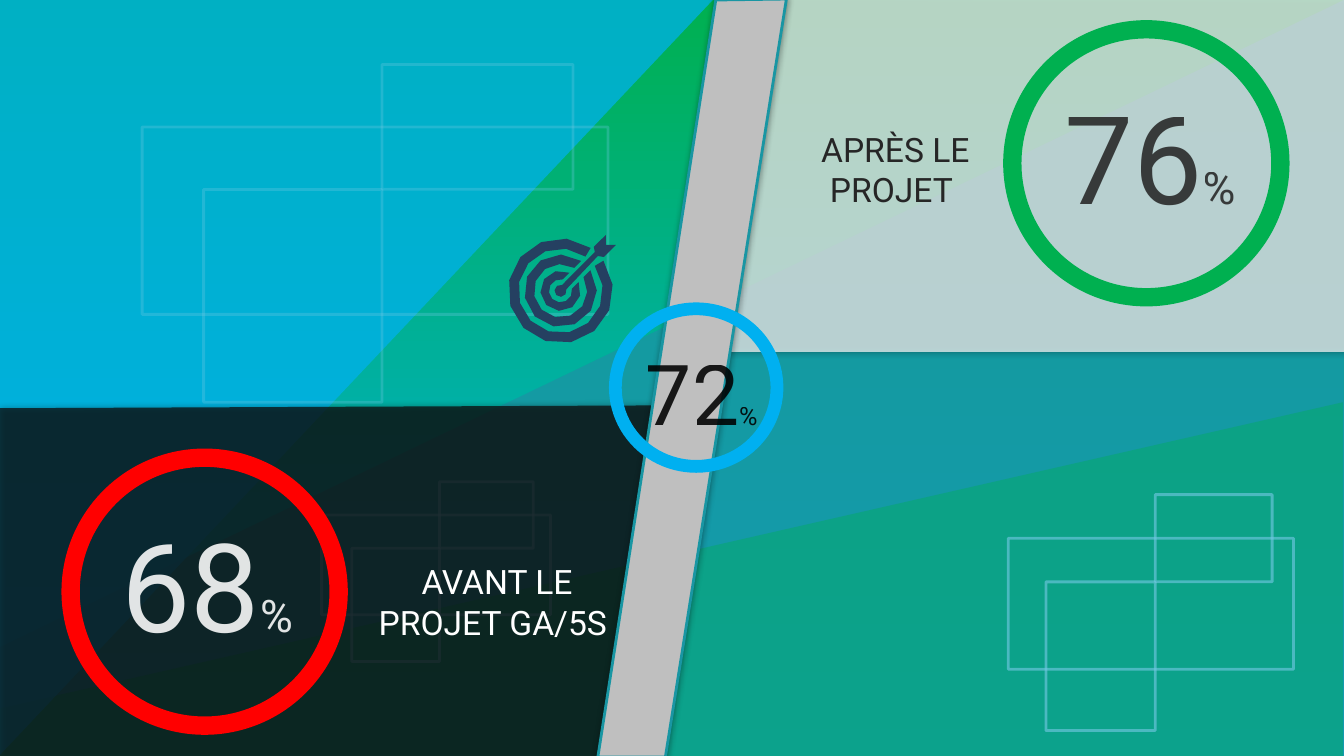
"""Build the before-and-after slide of the GA/5S project."""
import math
from dataclasses import dataclass
from typing import Optional

import pptx
import pptx.dml.color
import pptx.enum.dml
import pptx.enum.shapes
import pptx.enum.text
import pptx.oxml
import pptx.oxml.ns
import pptx.util

WIDE, HIGH = pptx.util.Inches(13.33), pptx.util.Inches(7.5)
COL, ROW = WIDE / 133.3, HIGH / 75
FONT = "Roboto"
KIND = pptx.enum.shapes.MSO_SHAPE
Box = tuple[float, float, float, float]
Spot = tuple[float, float]


@dataclass
class Panel:
    spots: list[Spot]
    hue: str
    share: float
    shade: bool


@dataclass
class Frame:
    left: float
    top: float
    width: float
    height: float
    share: float


@dataclass
class Label:
    box: Box
    words: str
    ink: str


@dataclass
class Gauge:
    ring: Box
    band: float
    hue: str
    box: Box
    count: str
    size: int
    unit: int
    ink: str
    label: Optional[Label] = None


@dataclass
class Ring:
    rim: float
    hub: float
    cut: float
    steps: int


BACK = [
    Panel([(0, 64.2), (133.3, 0), (133.3, 75), (0, 75)], "1996A3", 82, False),
    Panel([(-0.1, 70.3), (133.2, 39.9), (133.2, 75.4), (-0.1, 75.4)], "00B050", 37, False),
]
FRONT = [
    Panel([(73.1, -0.3), (133.9, -0.1), (133.9, 34.9), (69.8, 34.9)], "F2F2F2", 75, True),
    Panel([(0, 40.5), (69.4, 40.2), (65.5, 75.3), (0, 75.3)], "0D0D0D", 75, True),
]
BAR = [(71, 0), (78, -0.1), (66, 75.1), (59.3, 75.1)]
FRAMES = [
    Frame(100, 53.4, 28.3, 13, 62),
    Frame(31.9, 51.1, 22.7, 9.9, 62),
    Frame(14.1, 12.6, 46.2, 18.6, 29),
]
TILES = [(0, 0, 100, 100), (51.5, -33.3, 41, 66.5), (13.2, 33.3, 38.3, 113.5)]
RINGS = [Ring(2, 1.15, 0.65, 8), Ring(3.6, 2.65, 0.65, 10), Ring(5.2, 4.2, 0.9, 12)]
HEART = (55.6, 28.85)
DART = [(59.3, 25.4), (59.9, 25.5), (61.1, 24.3), (60.1, 24.3),
        (60.1, 23.3), (58.9, 24.5), (59, 25)]
GAUGES = [
    Gauge((6.1, 44.5, 28.4, 28.4), 0.064, "FF0000", (9.3, 50, 22.5, 15.8),
          "68", 88, 32, "FFFFFF",
          Label((36, 55.2, 26.6, 9.1), "AVANT LE PROJET GA/5S ", "FFFFFF")),
    Gauge((99.5, 2, 28.4, 28.4), 0.064, "00B050", (102.8, 7.6, 22.5, 15.8),
          "76", 88, 32, "262626",
          Label((75.5, 12.3, 26.6, 9.1), "APRÈS LE PROJET ", "262626")),
    Gauge((60.4, 30, 17.3, 16.9), 0.075, "00B0F0", (59.5, 33.4, 20.1, 11.1),
          "72", 60, 18, "000000"),
]


def tint(code: str) -> pptx.dml.color.RGBColor:
    """Turn a hex string into a colour."""
    return pptx.dml.color.RGBColor.from_string(code)


def place(box: Box) -> list[int]:
    """Turn columns and rows into lengths."""
    return [round(part * unit) for part, unit in zip(box, (COL, ROW, COL, ROW))]


def fade(shape, share: float) -> None:
    """Make the colours of a shape partly opaque."""
    for hue in shape.element.iter(pptx.oxml.ns.qn("a:srgbClr")):
        alpha = hue.makeelement(pptx.oxml.ns.qn("a:alpha"), {"val": str(round(share * 1000))})
        hue.append(alpha)


def cast(shape) -> None:
    """Give a shape a soft dark shadow."""
    glow = pptx.oxml.parse_xml(
        f'<a:outerShdw {pptx.oxml.ns.nsdecls("a")} blurRad="63500" dist="0" dir="0" '
        'rotWithShape="0"><a:srgbClr val="000000"><a:alpha val="40000"/></a:srgbClr>'
        '</a:outerShdw>')
    shape.element.spPr.find(pptx.oxml.ns.qn("a:effectLst")).append(glow)


def plain(shape, hue: Optional[str] = None):
    """Clear line and shadow, and fill with a colour or nothing."""
    shape.shadow.inherit = False
    shape.line.fill.background()
    if hue:
        shape.fill.solid()
        shape.fill.fore_color.rgb = tint(hue)
    else:
        shape.fill.background()
    return shape


def stamp(slide, kind, box: Box, hue: Optional[str] = None):
    """Add a preset shape."""
    return plain(slide.shapes.add_shape(kind, *place(box)), hue)


def trace(slide, loops: list[list[Spot]], hue: Optional[str] = None):
    """Add an outline of one or more closed loops."""
    loops = [[(x * COL, y * ROW) for x, y in loop] for loop in loops]
    pen = slide.shapes.build_freeform(*loops[0][0])
    for turn, loop in enumerate(loops):
        if turn:
            pen.move_to(*loop[0])
        pen.add_line_segments(loop[1:], close=True)
    return plain(pen.convert_to_shape(), hue)


def panel(slide, item: Panel) -> None:
    """Draw a see-through panel."""
    shape = trace(slide, [item.spots], item.hue)
    fade(shape, item.share)
    if item.shade:
        cast(shape)


def frame(slide, item: Frame) -> None:
    """Draw three linked outlines."""
    across, down = item.width / 100, item.height / 100
    for x, y, width, height in TILES:
        tile = stamp(slide, KIND.RECTANGLE, (
            item.left + x * across, item.top + y * down, width * across, height * down))
        tile.line.color.rgb = tint("73C8E3")
        tile.line.width = pptx.util.Pt(2)
        fade(tile, item.share)


def arc(size: float, cut: float, steps: int) -> list[Spot]:
    """List points of a circle that is open to the upper right."""
    gap = math.asin(cut / size)
    start, sweep = math.pi / 4 + gap, 2 * (math.pi - gap)
    turns = [start + sweep * step / steps for step in range(steps + 1)]
    return [(HEART[0] + size * math.cos(turn), HEART[1] - size * math.sin(turn))
            for turn in turns]


def target(slide) -> None:
    """Draw the target with its dart."""
    loops = [arc(0.6, 0.3, 6) + DART]
    for ring in RINGS:
        loops.append(arc(ring.rim, ring.cut, ring.steps)
                     + arc(ring.hub, 0.65, ring.steps)[::-1])
    trace(slide, loops, "254061")


def write(slide, box: Box, runs: list[tuple[str, int]], ink: str):
    """Add a centred line of text."""
    shape = slide.shapes.add_textbox(*place(box))
    body = shape.text_frame
    body.word_wrap = True
    body.auto_size = pptx.enum.text.MSO_AUTO_SIZE.SHAPE_TO_FIT_TEXT
    line = body.paragraphs[0]
    line.alignment = pptx.enum.text.PP_ALIGN.CENTER
    line.font.name = FONT
    line.font.color.rgb = tint(ink)
    for words, size in runs:
        run = line.add_run()
        run.text = words
        run.font.size = pptx.util.Pt(size)
    return shape


def gauge(slide, item: Gauge) -> None:
    """Draw a ring with its share and label."""
    ring = stamp(slide, KIND.DONUT, item.ring, item.hue)
    ring.adjustments[0] = item.band
    fade(write(slide, item.box, [(item.count, item.size), ("%", item.unit)], item.ink), 87)
    if item.label:
        write(slide, item.label.box, [(item.label.words, 24)], item.label.ink)


def main() -> None:
    """Build and save the slide."""
    deck = pptx.Presentation()
    deck.slide_width, deck.slide_height = WIDE, HIGH
    slide = deck.slides.add_slide(deck.slide_layouts[6])
    base = stamp(slide, KIND.RECTANGLE, (0, 0, 133.3, 75.1))
    base.fill.gradient()
    base.fill.gradient_angle = 270
    for stop, share, hue in zip(base.fill.gradient_stops, (0, 1), ("00B050", "00B0F0")):
        stop.position = share
        stop.color.rgb = tint(hue)
    for item in BACK:
        panel(slide, item)
    wedge = stamp(slide, KIND.ISOSCELES_TRIANGLE, (-0.1, 0, 70.8, 75), "00B0F0")
    wedge.adjustments[0] = 0
    wedge.element.spPr.xfrm.set("flipV", "1")
    fade(wedge, 72)
    for item in FRAMES:
        frame(slide, item)
    for item in FRONT:
        panel(slide, item)
    bar = trace(slide, [BAR])
    bar.fill.patterned()
    bar.fill.pattern = pptx.enum.dml.MSO_PATTERN.DARK_HORIZONTAL
    bar.fill.fore_color.rgb = tint("BFBFBF")
    bar.fill.back_color.rgb = tint("FFFFFF")
    bar.line.color.rgb = tint("1996A3")
    bar.line.width = pptx.util.Pt(2)
    cast(bar)
    for item in GAUGES[:2]:
        gauge(slide, item)
    target(slide)
    gauge(slide, GAUGES[2])
    deck.save("out.pptx")


if __name__ == "__main__":
    main()
